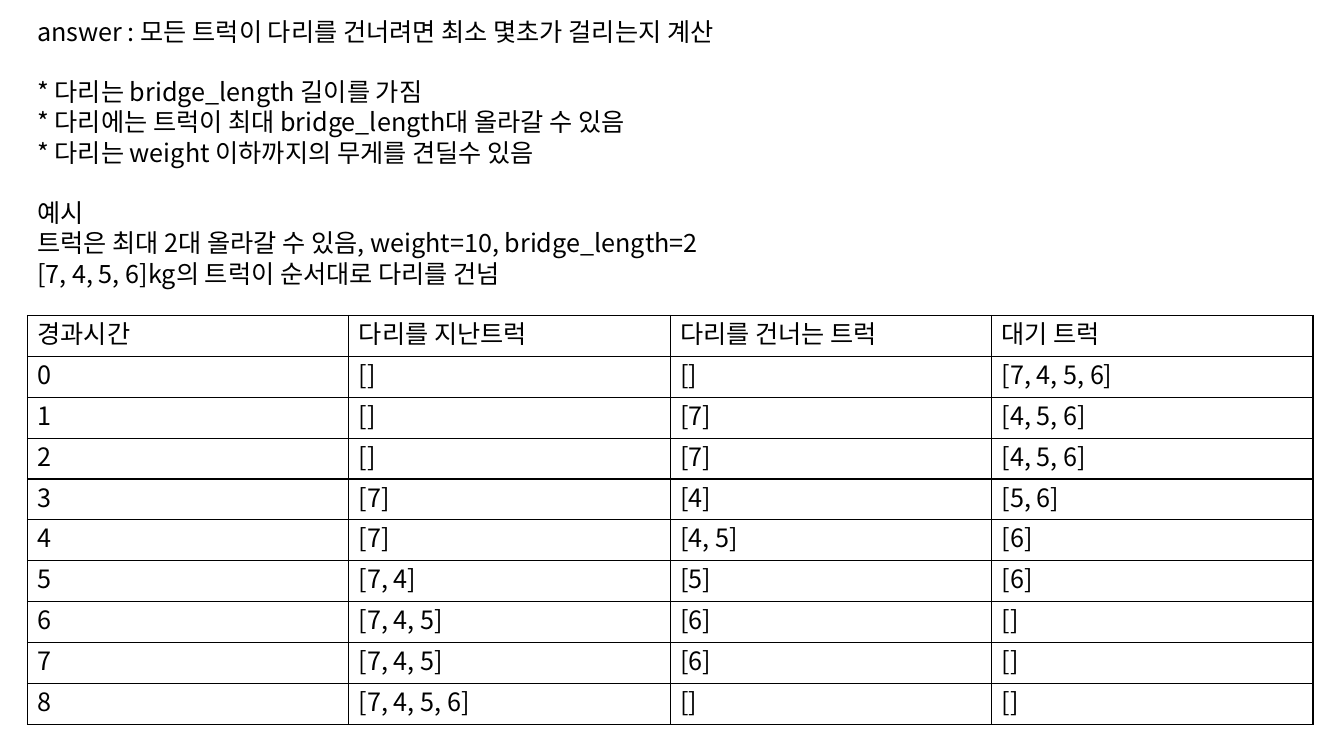
from lxml.etree import SubElement
from pptx import Presentation
from pptx.dml.color import RGBColor
from pptx.enum.text import MSO_AUTO_SIZE
from pptx.oxml.ns import qn
from pptx.util import Cm, Pt

FONT = "Noto Sans CJK KR"
BLACK = "000000"
PITCH = Pt(21.6)

BLOCKS = [
    ["answer : 모든 트럭이 다리를 건너려면 최소 몇초가 걸리는지 계산"],
    ["* 다리는 bridge_length 길이를 가짐",
     "* 다리에는 트럭이 최대 bridge_length대 올라갈 수 있음",
     "* 다리는 weight 이하까지의 무게를 견딜수 있음"],
    ["예시",
     "트럭은 최대 2대 올라갈 수 있음, weight=10, bridge_length=2",
     "[7, 4, 5, 6]kg의 트럭이 순서대로 다리를 건넘"],
]

HEAD = ["경과시간", "다리를 지난트럭", "다리를 건너는 트럭", "대기 트럭"]
STEPS = [
    ([], [], [7, 4, 5, 6]),
    ([], [7], [4, 5, 6]),
    ([], [7], [4, 5, 6]),
    ([7], [4], [5, 6]),
    ([7], [4, 5], [6]),
    ([7, 4], [5], [6]),
    ([7, 4, 5], [6], []),
    ([7, 4, 5], [6], []),
    ([7, 4, 5, 6], [], []),
]


def paint(code):
    return RGBColor.from_string(code)


def style(para):
    para.line_spacing = PITCH
    for run in para.runs:
        font = run.font
        font.name = FONT
        font.size = Pt(18)
        font.color.rgb = paint(BLACK)
        SubElement(font._element, qn("a:ea"), typeface=FONT)


def add_notes(slide, left, top, width, height):
    frame = slide.shapes.add_textbox(left, top, width, height).text_frame
    frame.word_wrap = False
    frame.auto_size = MSO_AUTO_SIZE.SHAPE_TO_FIT_TEXT
    frame.text = "\n".join(line for block in BLOCKS for line in block)
    starts = {block[0] for block in BLOCKS[1:]}
    for para in frame.paragraphs:
        if para.text in starts:
            para.space_before = PITCH
        style(para)


def frame_cell(cell):
    props = cell._tc.get_or_add_tcPr()
    for side in ("lnL", "lnR", "lnT", "lnB"):
        line = SubElement(props, qn(f"a:{side}"), w=str(Pt(1)))
        fill = SubElement(line, qn("a:solidFill"))
        SubElement(fill, qn("a:srgbClr"), val=BLACK)
    cell.fill.background()


def add_grid(slide, rows, left, top, width, height):
    shape = slide.shapes.add_table(len(rows), len(rows[0]), left, top, width, height)
    table = shape.table
    table.first_row = False
    table.horz_banding = False
    for r, row in enumerate(rows):
        for c, value in enumerate(row):
            cell = table.cell(r, c)
            cell.text = str(value)
            style(cell.text_frame.paragraphs[0])
            frame_cell(cell)


def main():
    deck = Presentation()
    deck.slide_width = Cm(33.87)
    deck.slide_height = Cm(19.05)
    slide = deck.slides.add_slide(deck.slide_layouts[6])
    add_notes(slide, Cm(0.69), Cm(0.28), Cm(19.46), Cm(7.19))
    rows = [HEAD] + [[time, *step] for time, step in enumerate(STEPS)]
    add_grid(slide, rows, Cm(0.69), Cm(7.95), Cm(32.4), Cm(10.3))
    deck.save("out.pptx")


if __name__ == "__main__":
    main()
